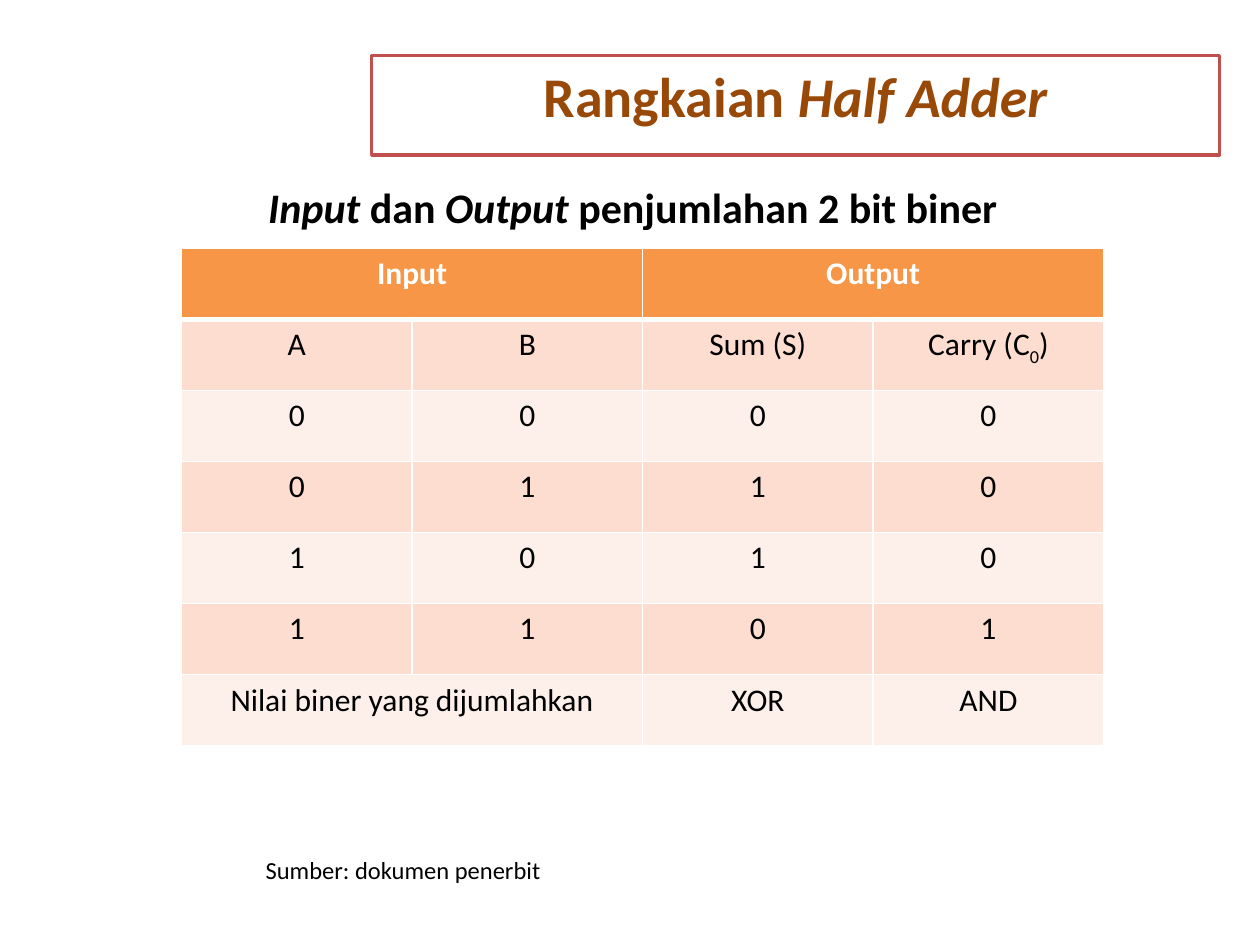
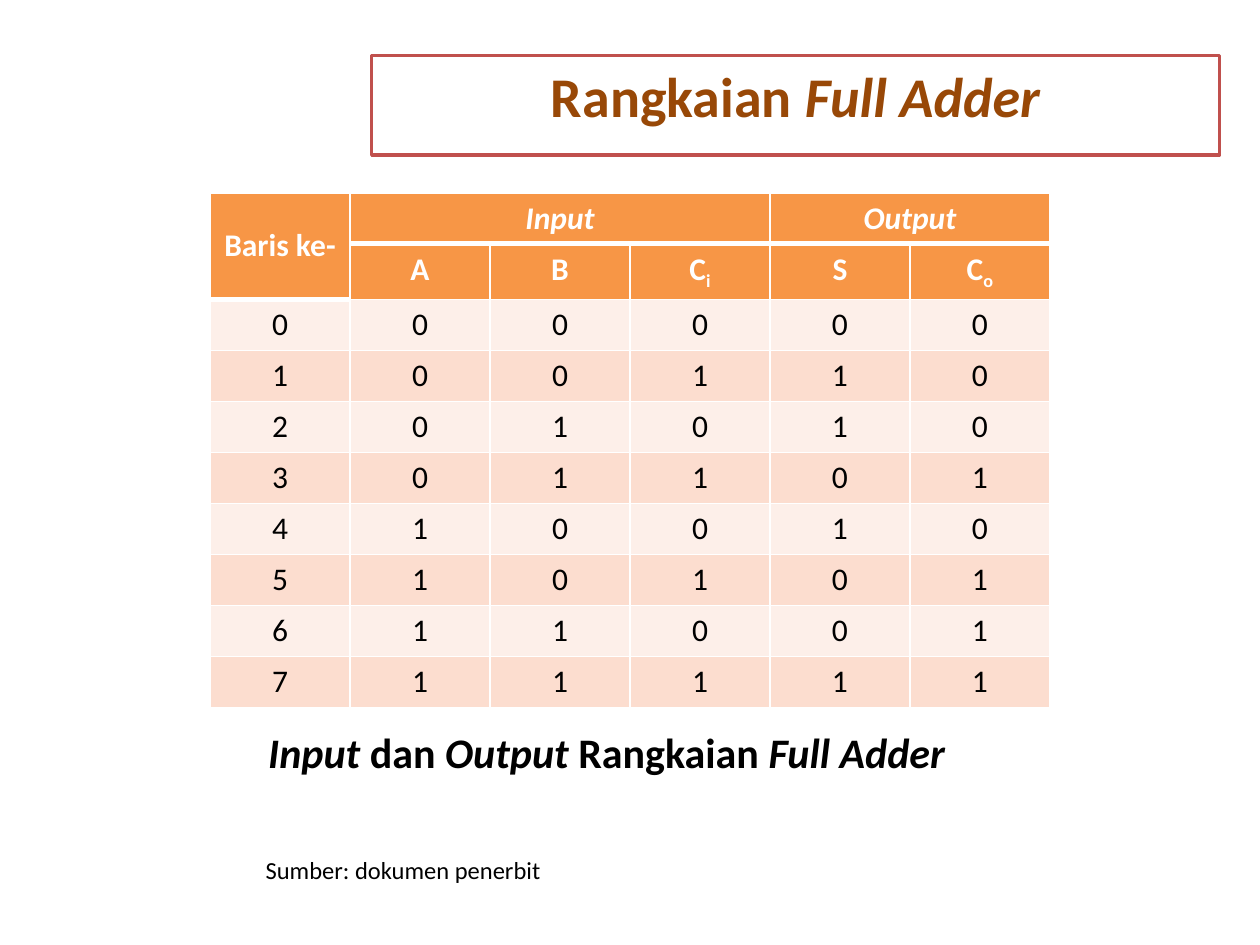
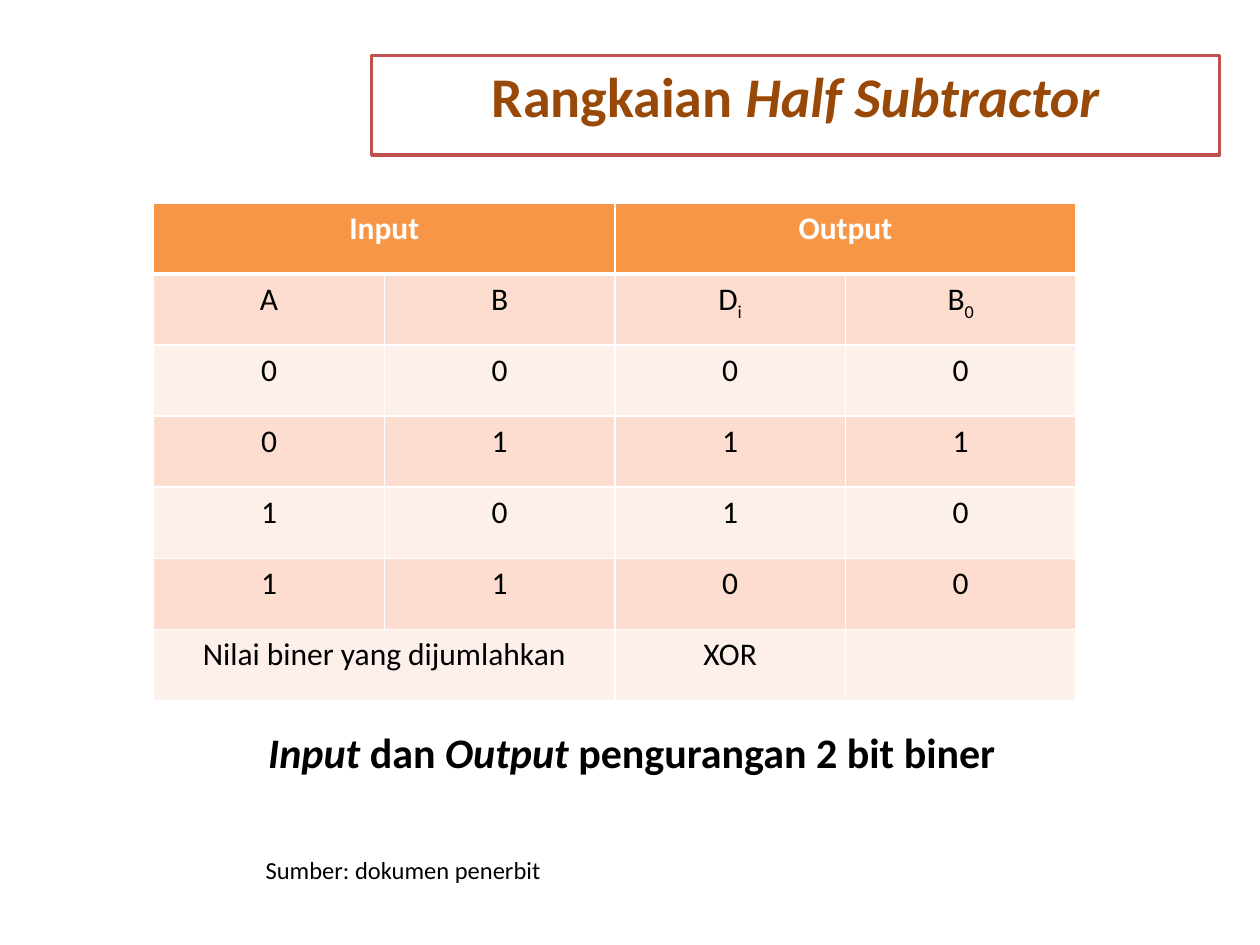
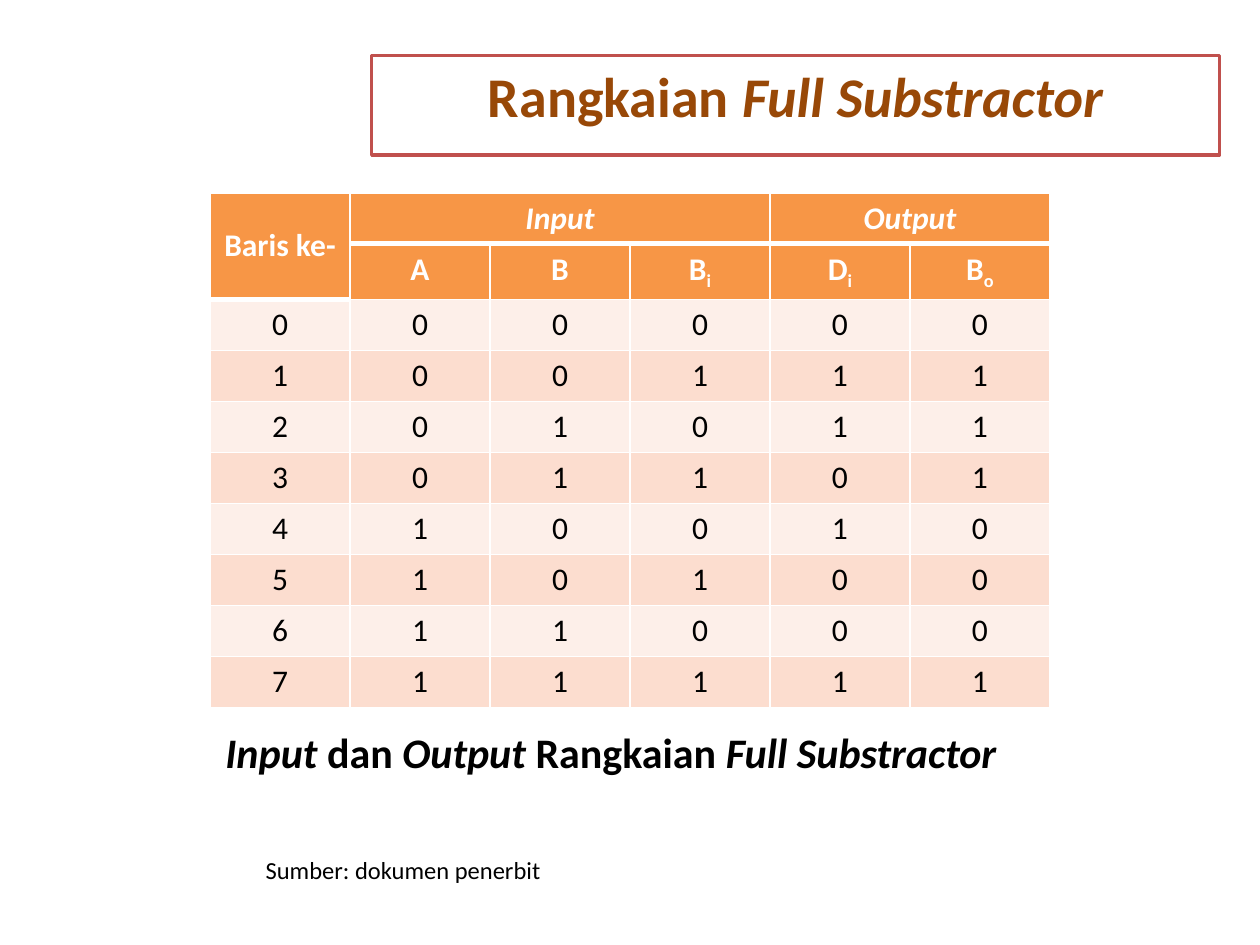
import dataclasses
import itertools
import typing

import lxml.etree
import pptx
import pptx.dml.color
import pptx.enum.text
import pptx.oxml.ns
import pptx.util


@dataclasses.dataclass(frozen=True)
class Theme:
    font: str = "Calibri"
    white: str = "FFFFFF"
    black: str = "000000"
    title_text: str = "984807"
    title_line: str = "C0504D"
    header: str = "F79646"
    dark_band: str = "FCDDCF"
    light_band: str = "FDEFE9"
    title_size: int = 32
    caption_size: int = 24
    table_size: int = 18
    source_size: int = 14
    title_line_width: int = 2
    thin_border: int = 1
    heavy_border: int = 3


class Box(typing.NamedTuple):
    """Position and size in percent of the slide."""
    left: float
    top: float
    width: float
    height: float


class Span(typing.NamedTuple):
    row: int
    column: int
    rows: int
    columns: int


@dataclasses.dataclass(frozen=True)
class TruthTable:
    box: Box
    rows: list[list[str]]
    spans: list[Span]
    header_depths: list[int]


@dataclasses.dataclass(frozen=True)
class CircuitSlide:
    title: str
    caption: str
    caption_box: Box
    table: TruthTable


THEME = Theme()
SLIDE_WIDTH = pptx.util.Inches(10)
SLIDE_HEIGHT = pptx.util.Inches(7.5)
TITLE_BOX = Box(29.5, 5.87, 67.3, 10.53)
SOURCE_BOX = Box(20.1, 89.87, 26, 4.67)
UPPER_CAPTION = Box(20.3, 18.53, 61.4, 5.73)
LOWER_CAPTION = Box(20.3, 76.27, 61.4, 5.73)
WIDE_CAPTION = Box(16.9, 76.27, 66, 5.73)
FULL_TABLE_BOX = Box(16.67, 20.4, 66.67, 54)
SOURCE_TEXT = "Sumber: dokumen penerbit"
SUBSCRIPT = "-25000"


def colour(value: str) -> pptx.dml.color.RGBColor:
    return pptx.dml.color.RGBColor.from_string(value)


def placement(box: Box) -> tuple[int, int, int, int]:
    extents = (SLIDE_WIDTH, SLIDE_HEIGHT, SLIDE_WIDTH, SLIDE_HEIGHT)
    return tuple(round(extent * share / 100) for extent, share in zip(extents, box))


def write_text(text_frame, text: str, *, size: int, text_colour: str = THEME.black,
               bold: bool = False, centred: bool = False) -> None:
    """Write text in which *...* is italic and ~...~ is subscript."""
    paragraph = text_frame.paragraphs[0]
    if centred:
        paragraph.alignment = pptx.enum.text.PP_ALIGN.CENTER
    for italic_index, part in enumerate(text.split("*")):
        for subscript_index, piece in enumerate(part.split("~")):
            if not piece:
                continue
            run = paragraph.add_run()
            run.text = piece
            run.font.name = THEME.font
            run.font.size = pptx.util.Pt(size)
            run.font.bold = bold
            run.font.italic = italic_index % 2 == 1
            run.font.color.rgb = colour(text_colour)
            if subscript_index % 2:
                run._r.get_or_add_rPr().set("baseline", SUBSCRIPT)


def add_title(slide, text: str) -> None:
    title = slide.shapes.title
    title.left, title.top, title.width, title.height = placement(TITLE_BOX)
    title.fill.solid()
    title.fill.fore_color.rgb = colour(THEME.white)
    title.line.color.rgb = colour(THEME.title_line)
    title.line.width = pptx.util.Pt(THEME.title_line_width)
    title.text_frame.auto_size = pptx.enum.text.MSO_AUTO_SIZE.NONE
    title.text_frame.vertical_anchor = pptx.enum.text.MSO_ANCHOR.TOP
    write_text(title.text_frame, text, size=THEME.title_size,
               text_colour=THEME.title_text, bold=True, centred=True)


def add_text(slide, box: Box, text: str, *, size: int, bold: bool = False) -> None:
    text_frame = slide.shapes.add_textbox(*placement(box)).text_frame
    text_frame.word_wrap = True
    write_text(text_frame, text, size=size, bold=bold)


def set_borders(cell, *, heavy_top: bool, heavy_bottom: bool) -> None:
    properties = cell._tc.get_or_add_tcPr()
    for side, heavy in (("L", False), ("R", False), ("T", heavy_top), ("B", heavy_bottom)):
        width = pptx.util.Pt(THEME.heavy_border if heavy else THEME.thin_border)
        line = lxml.etree.SubElement(
            properties, pptx.oxml.ns.qn(f"a:ln{side}"), w=str(width))
        fill = lxml.etree.SubElement(line, pptx.oxml.ns.qn("a:solidFill"))
        lxml.etree.SubElement(fill, pptx.oxml.ns.qn("a:srgbClr"), val=THEME.white)


def add_truth_table(slide, truth_table: TruthTable) -> None:
    rows = truth_table.rows
    left, top, width, height = placement(truth_table.box)
    table = slide.shapes.add_table(
        len(rows), len(rows[0]), left, top, width, height).table
    header_rows = max(truth_table.header_depths)
    for row_index, row in enumerate(rows):
        is_header = row_index < header_rows
        band = THEME.dark_band if row_index % 2 else THEME.light_band
        for column_index, text in enumerate(row):
            cell = table.cell(row_index, column_index)
            depth = truth_table.header_depths[column_index]
            set_borders(cell, heavy_top=row_index == depth, heavy_bottom=row_index < depth)
            cell.fill.solid()
            cell.fill.fore_color.rgb = colour(THEME.header if is_header else band)
            write_text(cell.text_frame, text, size=THEME.table_size, bold=is_header,
                       text_colour=THEME.white if is_header else THEME.black, centred=True)
    for span in truth_table.spans:
        origin = table.cell(span.row, span.column)
        origin.merge(table.cell(span.row + span.rows - 1, span.column + span.columns - 1))
        if span.rows > 1:
            origin.vertical_anchor = pptx.enum.text.MSO_ANCHOR.MIDDLE


def truth_rows(input_count: int, *outputs: str) -> list[list[str]]:
    inputs = itertools.product("01", repeat=input_count)
    return [[*bits, *results] for bits, results in zip(inputs, zip(*outputs))]


def half_table(left: float, top: float, names: list[str], outputs: list[str],
               gates: list[str]) -> TruthTable:
    rows = [["Input", "", "Output", ""], ["A", "B", *names],
            *truth_rows(2, *outputs),
            ["Nilai biner yang dijumlahkan", "", *gates]]
    spans = [Span(0, 0, 1, 2), Span(0, 2, 1, 2), Span(len(rows) - 1, 0, 1, 2)]
    return TruthTable(Box(left, top, 73.2, 52.67), rows, spans, [1] * 4)


def full_table(names: list[str], outputs: list[str]) -> TruthTable:
    rows = [["Baris ke-", "*Input*", "", "", "*Output*", ""], ["", "A", "B", *names]]
    rows += [[str(number), *row] for number, row in enumerate(truth_rows(3, *outputs))]
    spans = [Span(0, 0, 2, 1), Span(0, 1, 1, 3), Span(0, 4, 1, 2)]
    return TruthTable(FULL_TABLE_BOX, rows, spans, [2] + [1] * 5)


CIRCUITS = [
    CircuitSlide("Rangkaian *Half Adder*",
                 "*Input *dan *Output *penjumlahan 2 bit biner", UPPER_CAPTION,
                 half_table(14.4, 26.27, ["Sum (S)", "Carry (C~0~)"],
                            ["0110", "0001"], ["XOR", "AND"])),
    CircuitSlide("Rangkaian *Full Adder*",
                 "*Input *dan *Output *Rangkaian *Full Adder*", LOWER_CAPTION,
                 full_table(["C~i~", "S", "C~o~"], ["01101001", "00010111"])),
    CircuitSlide("Rangkaian *Half Subtractor*",
                 "*Input *dan *Output *pengurangan 2 bit biner", LOWER_CAPTION,
                 half_table(12.2, 21.47, ["D~i~", "B~0~"],
                            ["0110", "0100"], ["XOR", ""])),
    CircuitSlide("Rangkaian *Full Substractor*",
                 "*Input *dan *Output *Rangkaian *Full Substractor*", WIDE_CAPTION,
                 full_table(["B~i~", "D~i~", "B~o~"], ["01101001", "01110001"])),
]


def main() -> None:
    presentation = pptx.Presentation()
    presentation.slide_width = SLIDE_WIDTH
    presentation.slide_height = SLIDE_HEIGHT
    title_only = presentation.slide_layouts.get_by_name("Title Only")
    for circuit in CIRCUITS:
        slide = presentation.slides.add_slide(title_only)
        add_title(slide, circuit.title)
        add_text(slide, circuit.caption_box, circuit.caption,
                 size=THEME.caption_size, bold=True)
        add_truth_table(slide, circuit.table)
        add_text(slide, SOURCE_BOX, SOURCE_TEXT, size=THEME.source_size)
    presentation.save("out.pptx")


if __name__ == "__main__":
    main()
